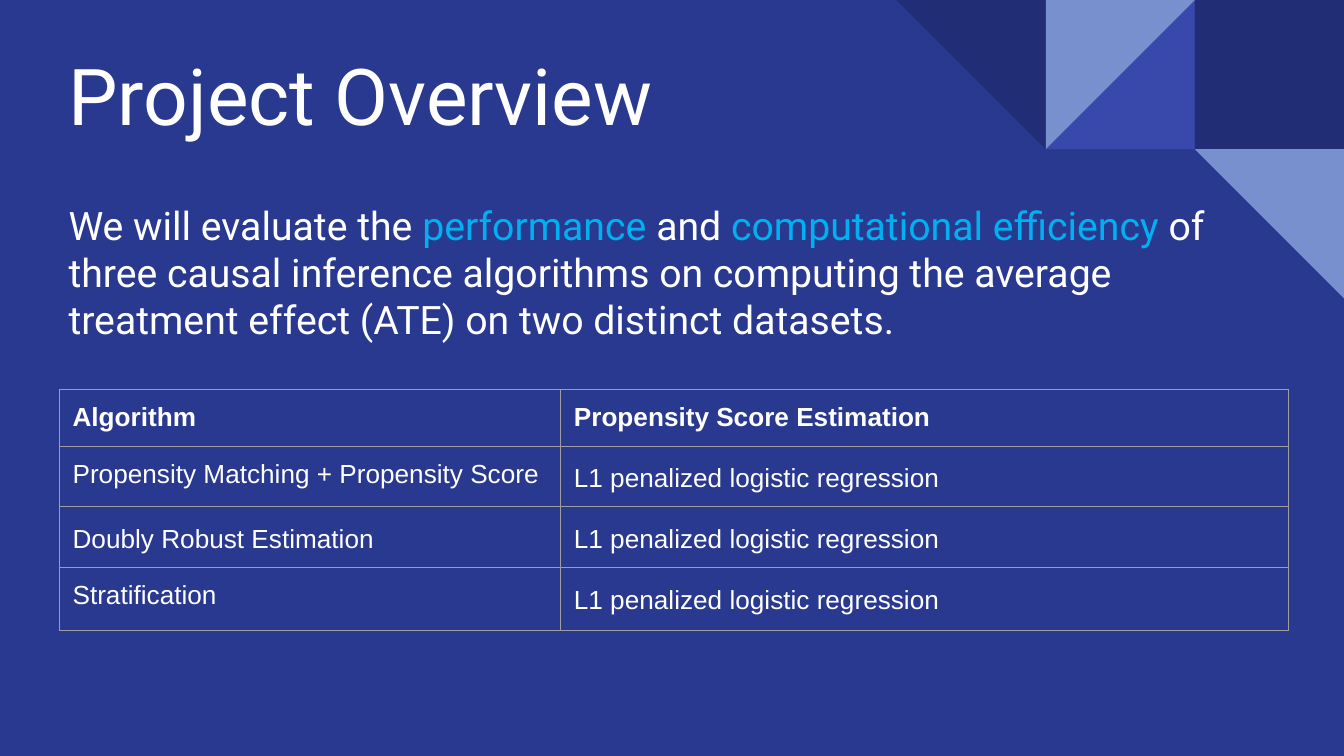
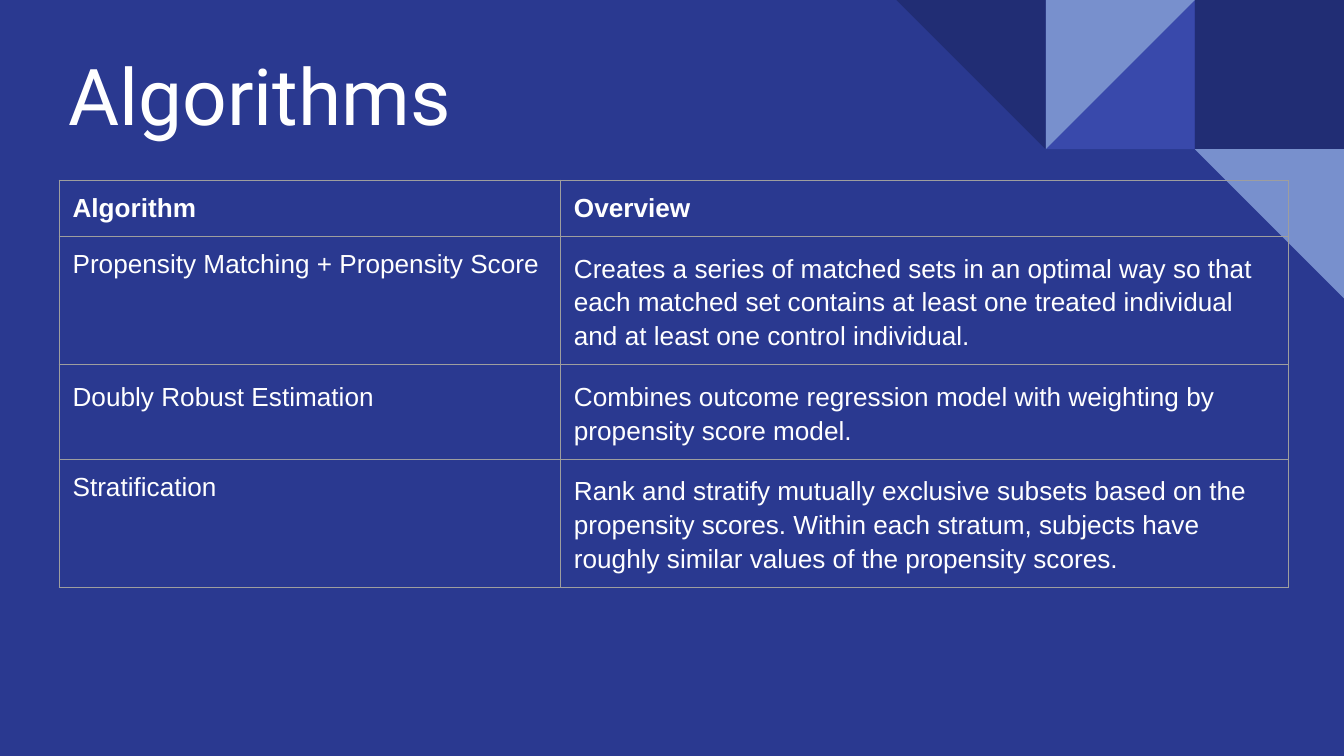
import pptx
import pptx.dml.color
import pptx.enum.shapes
import pptx.enum.text
import pptx.oxml
import pptx.oxml.ns
import pptx.util
from pptx.util import Inches

COLORS = {
    "background": "2A3990",
    "navy": "212D74",
    "indigo": "3949AB",
    "pale": "7890CD",
    "text": "FFFFFF",
    "accent": "00B0F0",
    "border": "9E9E9E",
}
HEADING_FONT, TABLE_FONT = "Roboto", "Arial"
TILE = 1.11
INSET = 0.1
TITLE_BOX = (0.41, 0.23, 8.99, 0.92)
BODY_BOX = (0.41, 1.06, 8.99, 4.17)
COLUMN_WIDTHS = (3.73, 5.42)
ROW_HEIGHTS = (0.42, 0.42, 0.42, 0.47)
ALGORITHMS = (
    "Propensity Matching + Propensity Score",
    "Doubly Robust Estimation",
    "Stratification",
)
SPACED_ALGORITHM = "Doubly Robust Estimation"


def rgb(name):
    return pptx.dml.color.RGBColor.from_string(COLORS[name])


def add_text(p, text, size, font=HEADING_FONT, color="text", bold=False):
    r = p.add_run()
    r.text = text
    r.font.size = pptx.util.Pt(size)
    r.font.name = font
    r.font.bold = bold
    r.font.color.rgb = rgb(color)


def place(sp, box):
    sp.left, sp.top, sp.width, sp.height = map(Inches, box)


def format_frame(tf, anchor, top_inset=INSET):
    tf.word_wrap = True
    tf.auto_size = pptx.enum.text.MSO_AUTO_SIZE.NONE
    tf.vertical_anchor = anchor
    tf.margin_left = tf.margin_right = tf.margin_bottom = Inches(INSET)
    tf.margin_top = Inches(top_inset)
    p = tf.paragraphs[0]
    p.alignment = pptx.enum.text.PP_ALIGN.LEFT
    p.space_before = pptx.util.Pt(0)
    return p


def add_corner_tiles(slide, layout, right):
    """Draw the tiles on a slide, then move them to the layout it shares."""
    shape = pptx.enum.shapes.MSO_SHAPE
    square, triangle = shape.RECTANGLE, shape.RIGHT_TRIANGLE
    # Columns are counted leftwards from the right edge.
    tiles = (
        (square, 1, 0, "navy", 0, False),
        (triangle, 2, 0, "indigo", 0, True),
        (triangle, 2, 0, "pale", 180, True),
        (triangle, 3, 0, "navy", 180, False),
        (triangle, 1, 1, "pale", 180, False),
    )
    for number, (kind, col, row, color, turn, flip) in enumerate(tiles):
        box = (right - col * TILE, row * TILE, TILE, TILE)
        sp = slide.shapes.add_shape(kind, *map(Inches, box))
        sp.shadow.inherit = False
        sp.fill.solid()
        sp.fill.fore_color.rgb = rgb(color)
        sp.line.fill.background()
        sp.rotation = turn
        if flip:
            sp.element.spPr.find(pptx.oxml.ns.qn("a:xfrm")).set("flipH", "1")
        sp.element.nvSpPr.cNvPr.set("id", str(100 + number))
        layout.shapes.element.append(sp.element)


def add_title(slide, text, box):
    sp = slide.shapes.title
    place(sp, box)
    p = format_frame(sp.text_frame, pptx.enum.text.MSO_ANCHOR.BOTTOM)
    add_text(p, text, 42)


def add_body(slide, runs, box):
    """Fill the subtitle with (text, color) runs, starting below the title."""
    sp = slide.placeholders[1]
    place(sp, box)
    p = format_frame(sp.text_frame, pptx.enum.text.MSO_ANCHOR.TOP, top_inset=0.44)
    for text, color in runs:
        add_text(p, text, 21, color=color)


def set_borders(cell):
    tc_pr = cell._tc.get_or_add_tcPr()
    for index, side in enumerate(("lnL", "lnR", "lnT", "lnB")):
        tc_pr.insert(index, pptx.oxml.parse_xml(
            f'<a:{side} {pptx.oxml.ns.nsdecls("a")} w="{pptx.util.Pt(0.75)}">'
            f'<a:solidFill><a:srgbClr val="{COLORS["border"]}"/></a:solidFill>'
            f'</a:{side}>'))


def format_cell(cell, text, header, spaced):
    cell.fill.background()
    set_borders(cell)
    cell.margin_left = cell.margin_right = Inches(INSET)
    cell.margin_top = cell.margin_bottom = Inches(INSET)
    p = cell.text_frame.paragraphs[0]
    if spaced:
        p.line_spacing = 1.15
        p.space_before = p.space_after = pptx.util.Pt(12)
    add_text(p, text, 14, font=TABLE_FONT, bold=header)


def add_algorithm_table(slide, heading, details, box):
    """Rows start at their least height and grow with their text."""
    rows = [("Algorithm", heading), *zip(ALGORITHMS, details)]
    frame = slide.shapes.add_table(len(rows), 2, *map(Inches, box))
    table = frame.table
    table.first_row = table.horz_banding = False
    for column, width in zip(table.columns, COLUMN_WIDTHS):
        column.width = Inches(width)
    for i, (row, height) in enumerate(zip(rows, ROW_HEIGHTS)):
        table.rows[i].height = Inches(height)
        for j, text in enumerate(row):
            spaced = i > 0 and (j == 1 or text == SPACED_ALGORITHM)
            format_cell(table.cell(i, j), text, header=i == 0, spaced=spaced)
    place(frame, box)


def add_overview_slide(slide):
    add_title(slide, "Project Overview", TITLE_BOX)
    add_body(slide, (
        ("We will evaluate the ", "text"),
        ("performance", "accent"),
        (" and ", "text"),
        ("computational efficiency ", "accent"),
        ("of three causal inference algorithms on computing the average "
         "treatment effect (ATE) on two distinct datasets.", "text"),
    ), BODY_BOX)
    add_algorithm_table(
        slide, "Propensity Score Estimation",
        ["L1 penalized logistic regression"] * len(ALGORITHMS),
        (0.44, 2.9, 9.15, 1.79))


def add_algorithms_slide(slide):
    add_title(slide, "Algorithms", TITLE_BOX)
    body = slide.placeholders[1].element
    body.getparent().remove(body)
    add_algorithm_table(slide, "Overview", (
        "Creates a series of matched sets in an optimal way so that each "
        "matched set contains at least one treated individual and at least "
        "one control individual.",
        "Combines outcome regression model with weighting by propensity "
        "score model.",
        "Rank and stratify mutually exclusive subsets based on the propensity "
        "scores. Within each stratum, subjects have roughly similar values of "
        "the propensity scores.",
    ), (0.44, 1.34, 9.15, 3.11))


def main():
    prs = pptx.Presentation()
    prs.slide_width = Inches(10)
    prs.slide_height = prs.slide_width * 9 // 16
    fill = prs.slide_master.background.fill
    fill.solid()
    fill.fore_color.rgb = rgb("background")
    layout = prs.slide_layouts[0]
    overview, algorithms = (prs.slides.add_slide(layout) for _ in range(2))
    add_corner_tiles(overview, layout, right=10)
    add_overview_slide(overview)
    add_algorithms_slide(algorithms)
    prs.save("out.pptx")


if __name__ == "__main__":
    main()
